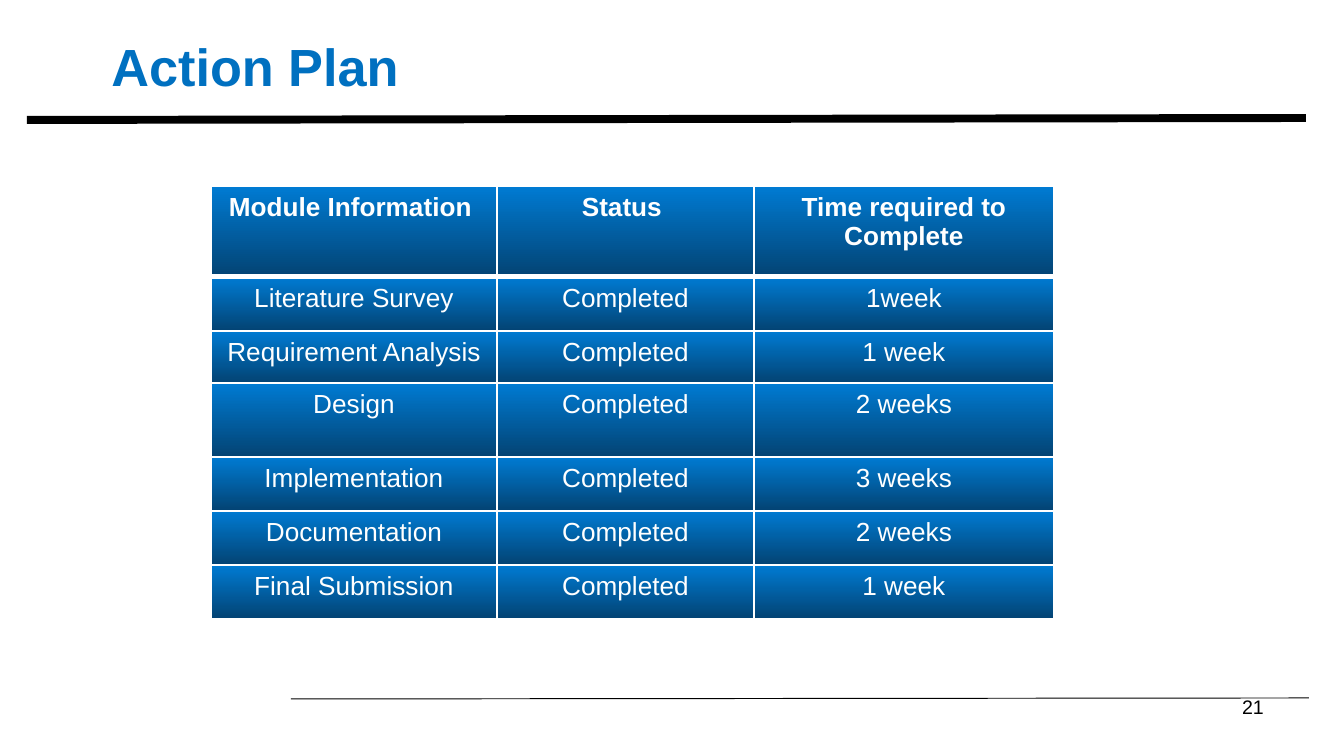
from lxml import etree
from pptx import Presentation
from pptx.dml.color import RGBColor
from pptx.enum.shapes import MSO_CONNECTOR
from pptx.enum.text import MSO_ANCHOR, PP_ALIGN
from pptx.oxml import parse_xml
from pptx.oxml.ns import nsdecls, qn
from pptx.util import Emu, Pt

STRAIGHT = MSO_CONNECTOR.STRAIGHT
MIDDLE = MSO_ANCHOR.MIDDLE
LEFT, CENTER, RIGHT = PP_ALIGN.LEFT, PP_ALIGN.CENTER, PP_ALIGN.RIGHT

EMU_PER_PX = 914400 / 134.4
TITLE_ONLY_LAYOUT = 5
COLORS = {
    "title": "0070C0",
    "ink": "000000",
    "white": "FFFFFF",
    "cell_top": "007BD3",
    "cell_bottom": "034373",
}
FORMATS = {
    "title": {"size": Pt(28), "bold": True, "name": "Arial"},
    "number": {"size": Pt(10.5), "bold": False, "name": "Arial"},
    "header": {"size": Pt(14), "bold": True, "name": "Arial"},
    "body": {"size": Pt(14), "bold": False, "name": "Arial"},
}
HEADERS = ["Module Information ", "Status ", "Time required to Complete"]
MODULES = [
    ("Literature Survey", "1week"),
    ("Requirement Analysis", "1 week"),
    ("Design", "2 weeks"),
    ("Implementation", "3 weeks"),
    ("Documentation", "2 weeks"),
    ("Final Submission", "1 week"),
]
COLUMN_WIDTHS = [286, 257, 300]
ROW_HEIGHTS = [91, 54, 52, 74, 54, 54, 54]


def px(length):
    """Turn pixels into EMU."""
    return Emu(round(length * EMU_PER_PX))


def color(name):
    """Return the named colour."""
    return RGBColor.from_string(COLORS[name])


def write_text(text_frame, text, style, color_name, alignment):
    """Write one formatted paragraph into a text frame."""
    paragraph = text_frame.paragraphs[0]
    paragraph.alignment = alignment
    run = paragraph.add_run()
    run.text = text
    for attribute, value in FORMATS[style].items():
        setattr(run.font, attribute, value)
    run.font.color.rgb = color(color_name)


def add_title(slide, text, left, top, width, height):
    """Place and fill the title placeholder."""
    title = slide.shapes.title
    box = {"left": left, "top": top, "width": width, "height": height}
    for attribute, value in box.items():
        setattr(title, attribute, px(value))
    title.text_frame.word_wrap = False
    title.text_frame.vertical_anchor = MIDDLE
    write_text(title.text_frame, text, "title", "title", LEFT)


def add_slide_number(slide, text, left, top, width, height):
    """Add the right-aligned slide number."""
    shape = slide.shapes.add_textbox(px(left), px(top), px(width), px(height))
    shape.text_frame.word_wrap = True
    write_text(shape.text_frame, text, "number", "ink", RIGHT)


def add_rule(slide, start, end, weight):
    """Add a straight black rule without a shadow."""
    points = [px(value) for value in (*start, *end)]
    connector = slide.shapes.add_connector(STRAIGHT, *points)
    connector.line.color.rgb = color("ink")
    connector.line.width = Pt(weight)
    etree.SubElement(connector._element.spPr, qn("a:effectLst"))


def set_borders(cell, weights):
    """Draw white cell borders from a dict of side to points."""
    properties = cell._tc.get_or_add_tcPr()
    for index, (side, weight) in enumerate(weights.items()):
        border = parse_xml(
            f'<a:ln{side} {nsdecls("a")} w="{Pt(weight)}"><a:solidFill>'
            f'<a:srgbClr val="{COLORS["white"]}"/></a:solidFill></a:ln{side}>'
        )
        properties.insert(index, border)


def fill_gradient(cell):
    """Fill a cell with the vertical blue gradient."""
    cell.fill.gradient()
    cell.fill.gradient_angle = 270
    for stop, name in zip(cell.fill.gradient_stops, ("cell_top", "cell_bottom")):
        stop.color.rgb = color(name)


def add_plan_table(slide, rows, left, top):
    """Add the table of modules, status and time."""
    width, height = sum(COLUMN_WIDTHS), sum(ROW_HEIGHTS)
    table = slide.shapes.add_table(
        len(rows), len(COLUMN_WIDTHS), px(left), px(top), px(width), px(height)
    ).table
    for column, column_width in zip(table.columns, COLUMN_WIDTHS):
        column.width = px(column_width)
    for row, row_height in zip(table.rows, ROW_HEIGHTS):
        row.height = px(row_height)
    for row_index, values in enumerate(rows):
        style = "body" if row_index else "header"
        weights = {
            "L": 1,
            "R": 1,
            "T": 3 if row_index == 1 else 1,
            "B": 1 if row_index else 3,
        }
        for column_index, value in enumerate(values):
            cell = table.cell(row_index, column_index)
            write_text(cell.text_frame, value, style, "white", CENTER)
            fill_gradient(cell)
            set_borders(cell, weights)


def main():
    """Build and save the action plan slide."""
    presentation = Presentation()
    presentation.slide_width, presentation.slide_height = px(1344), px(756)
    layout = presentation.slide_layouts[TITLE_ONLY_LAYOUT]
    slide = presentation.slides.add_slide(layout)
    add_title(slide, "Action Plan", 98, 19, 328, 93)
    add_slide_number(slide, "21", 964, 688, 313, 52)
    rows = [HEADERS] + [(module, "Completed", time) for module, time in MODULES]
    add_plan_table(slide, rows, 211, 186)
    add_rule(slide, (27, 120), (1306, 118), 4.25)
    add_rule(slide, (291, 699), (1309, 698), 0.5)
    presentation.save("out.pptx")


if __name__ == "__main__":
    main()
